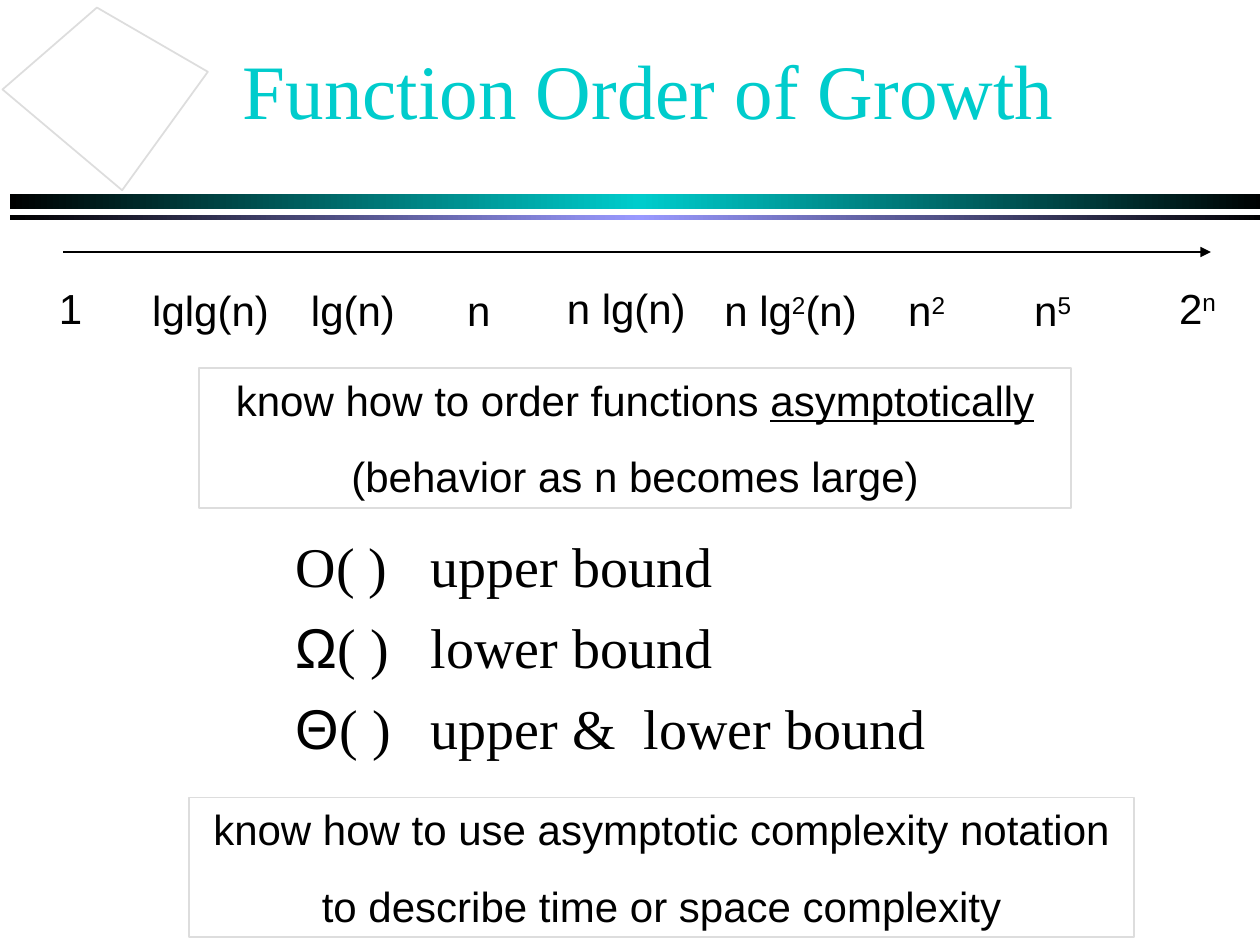
from copy import deepcopy

from lxml.etree import SubElement
from pptx import Presentation
from pptx.dml.color import RGBColor
from pptx.enum.shapes import MSO_CONNECTOR, MSO_SHAPE
from pptx.enum.text import MSO_ANCHOR, PP_ALIGN
from pptx.oxml.ns import qn
from pptx.util import Inches, Pt

BLACK = RGBColor(0x00, 0x00, 0x00)
WHITE = RGBColor(0xFF, 0xFF, 0xFF)
GREY = RGBColor(0xDD, 0xDD, 0xDD)
TEAL = RGBColor(0x00, 0xCC, 0xCC)
LILAC = RGBColor(0x99, 0x99, 0xFF)
SANS, SERIF = "Arial", "Times New Roman"

# Span formats that differ from the rest of their paragraph
SUPER = {"baseline": 30}
UNDERLINE = {"underline": True}
GREEK = {"font": SANS}


def write_text(frame, paragraphs, font=SANS, size=24, color=BLACK,
               align=PP_ALIGN.LEFT, anchor=MSO_ANCHOR.TOP, before=15, tab=None):
    """Each paragraph is a list of spans: plain text or (text, format)."""
    frame.word_wrap = True
    frame.vertical_anchor = anchor
    for index, spans in enumerate(paragraphs):
        para = frame.paragraphs[0] if index == 0 else frame.add_paragraph()
        para.alignment = align
        para.space_before = Pt(before)
        if tab:
            stops = SubElement(para._p.get_or_add_pPr(), qn("a:tabLst"))
            SubElement(stops, qn("a:tab"), pos=str(Inches(tab)), algn="l")
        for item in spans:
            text, style = (item, {}) if isinstance(item, str) else item
            span = para.add_run()
            span.text = text
            span.font.name = style.get("font", font)
            span.font.size = Pt(size)
            span.font.color.rgb = color
            if style.get("underline"):
                span.font.underline = True
            if "baseline" in style:
                span.font._element.set("baseline", str(style["baseline"] * 1000))


def add_text(page, box, paragraphs, **style):
    shape = page.shapes.add_textbox(*map(Inches, box))
    write_text(shape.text_frame, paragraphs, **style)
    return shape


def add_bar(page, box, middle):
    """Bar that fades from black to the middle colour and back."""
    bar = page.shapes.add_shape(MSO_SHAPE.RECTANGLE, *map(Inches, box))
    bar.shadow.inherit = False
    bar.line.fill.background()
    bar.fill.gradient()
    bar.fill.gradient_angle = 0
    first, second = bar.fill.gradient_stops
    first.color.rgb, first.position = BLACK, 0
    second.color.rgb, second.position = middle, 0.5
    stops = bar._element.spPr.find(".//" + qn("a:gsLst"))
    last = deepcopy(stops[0])
    last.set("pos", "100000")
    stops.append(last)


def add_header(page, box):
    left, top, width, height = box
    # Double rule under the title
    add_bar(page, (left + 0.08, top + 1.54, width, 0.12), TEAL)
    add_bar(page, (left + 0.08, top + 1.71, width, 0.04), LILAC)

    # Tilted outline in the corner
    corners = [(Inches(left + x), Inches(top + y)) for x, y in
               ((0.97, 1.51), (0.02, 0.71), (0.77, 0.06), (1.65, 0.57))]
    builder = page.shapes.build_freeform(*corners[0], scale=1.0)
    builder.add_line_segments(corners[1:], close=True)
    outline = builder.convert_to_shape()
    outline.shadow.inherit = False
    outline.fill.solid()
    outline.fill.fore_color.rgb = WHITE
    outline.line.color.rgb = GREY
    outline.line.width = Pt(1)

    # Title with a text shadow
    title = add_text(page, (left + 1.83, top + 0.08, 8.1, 1.25),
                     [["Function Order of Growth"]], font=SERIF, size=44,
                     color=TEAL, anchor=MSO_ANCHOR.MIDDLE, before=0)
    span = title.text_frame.paragraphs[0].runs[0].font._element
    effects = SubElement(span, qn("a:effectLst"))
    span.find(qn("a:solidFill")).addnext(effects)
    shadow = SubElement(effects, qn("a:outerShdw"), dist="25400", dir="2700000")
    SubElement(shadow, qn("a:srgbClr"), val=str(BLACK))


def add_growth_axis(page, box):
    left, top, width, height = box
    # Arrow towards faster growth
    axis = page.shapes.add_connector(
        MSO_CONNECTOR.STRAIGHT, Inches(left), Inches(top),
        Inches(left + width), Inches(top))
    axis.line.color.rgb = BLACK
    axis.line.width = Pt(1)
    line = axis.line._get_or_add_ln()
    SubElement(line, qn("a:tailEnd"), type="triangle")
    SubElement(axis._element.spPr, qn("a:effectLst"))

    # Functions in order: offset from the axis start, drop, width, spans
    functions = [
        (-0.13, 0.19, 0.56, ["1"]),
        (0.61, 0.21, 1.25, ["lglg(n)"]),
        (1.87, 0.21, 0.96, ["lg(n)"]),
        (3.11, 0.21, 0.56, ["n"]),
        (3.9, 0.19, 1.54, ["n lg(n)"]),
        (5.15, 0.21, 1.54, ["n lg", ("2", SUPER), "(n)"]),
        (6.61, 0.21, 0.67, ["n", ("2", SUPER)]),
        (7.61, 0.21, 0.67, ["n", ("5", SUPER)]),
        (8.76, 0.19, 0.74, ["2", ("n", SUPER)]),
    ]
    for offset, drop, label_width, spans in functions:
        add_text(page, (left + offset, top + drop, label_width, height - drop), [spans])


def add_notations(page, box):
    add_text(page, box, [
        ["O( )\tupper bound"],
        [("Ω", GREEK), "( )\tlower bound"],
        [("Θ", GREEK), "( )\tupper &  lower bound"],
    ], font=SERIF, size=32, before=8, tab=1.07)


def add_takeaway(page, box, paragraphs):
    frame = page.shapes.add_shape(MSO_SHAPE.RECTANGLE, *map(Inches, box))
    frame.shadow.inherit = False
    frame.fill.background()
    frame.line.color.rgb = GREY
    frame.line.width = Pt(1)
    write_text(frame.text_frame, paragraphs, align=PP_ALIGN.CENTER)


def main():
    deck = Presentation()
    deck.slide_width, deck.slide_height = Inches(10), Inches(7.5)
    page = deck.slides.add_slide(deck.slide_layouts[6])

    add_header(page, (0, 0, 9.99, 1.75))
    add_growth_axis(page, (0.5, 2, 9.11, 0.71))
    add_notations(page, (2.25, 4.17, 5.5, 2.17))
    add_takeaway(page, (1.5, 6.33, 7.5, 1.11), [
        ["know how to use asymptotic complexity notation"],
        ["to describe time or space complexity"],
    ])
    add_takeaway(page, (1.58, 2.92, 6.92, 1.11), [
        ["know how to order functions ", ("asymptotically", UNDERLINE)],
        ["(behavior as n becomes large)"],
    ])
    deck.save("out.pptx")


if __name__ == "__main__":
    main()
